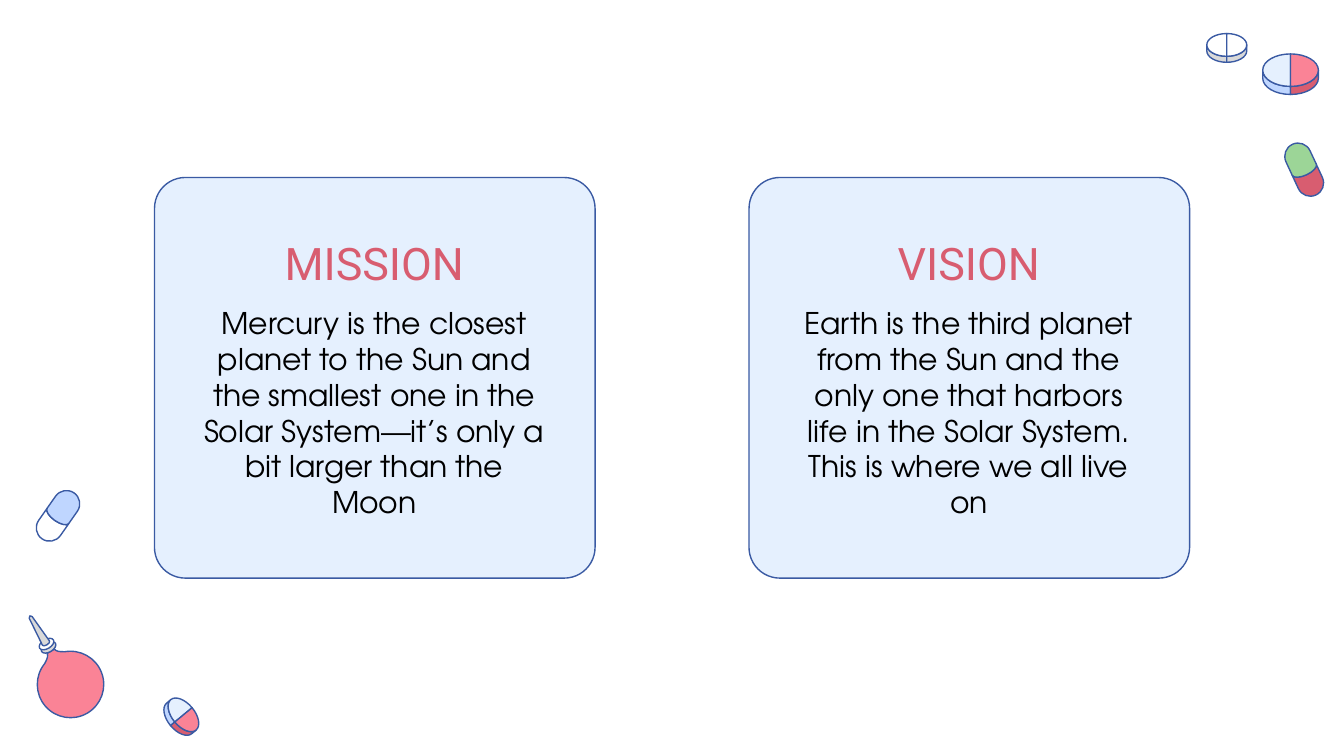
from math import ceil, cos, radians, sin, tan
from lxml import etree
from pptx import Presentation
from pptx.dml.color import RGBColor
from pptx.enum.shapes import MSO_SHAPE
from pptx.enum.text import MSO_ANCHOR, PP_ALIGN
from pptx.oxml.ns import qn
from pptx.util import Pt

ROUND = MSO_SHAPE.ROUNDED_RECTANGLE
MIDDLE = MSO_ANCHOR.MIDDLE
CENTER = PP_ALIGN.CENTER

COLORS = {
    "white": "FFFFFF", "black": "000000", "gray": "D9D9D9",
    "pale": "E5F0FE", "sky": "BFD6FF", "navy": "3A5AA3",
    "pink": "FA8396", "red": "D85D70", "green": "9CD597",
}
CARDS = [
    ("MISSION", "Mercury is the closest planet to the Sun and the smallest one "
     "in the Solar System—it’s only a bit larger than the Moon"),
    ("VISION", "Earth is the third planet from the Sun and the only one that "
     "harbors life in the Solar System. This is where we all live on"),
]
DUO = ("sky", "pale", "pink", "red")
PLAIN = ("gray", "white", "white", "gray")
TABLETS = [
    ((691.4, 37.6, 0), (14.9, 8.7, 4.3), DUO),
    ((657.2, 24.1, 0), (10.7, 6.1, 3.2), PLAIN),
    ((98.3, 383, 50.4), (10.6, 6, 3), DUO),
]
CAPSULES = [
    ((31.1, 276.4, 35), "sky", "white"),
    ((698.7, 90.9, -24.9), "green", "red"),
]


def color(name):
    """Return the named color."""
    return RGBColor.from_string(COLORS[name])


def paint(shape, fill):
    """Give a shape its fill and the navy outline."""
    shape.shadow.inherit = False
    shape.fill.solid()
    shape.fill.fore_color.rgb = color(fill)
    shape.line.color.rgb = color("navy")
    shape.line.width = Pt(0.75)


def arc(wide, high, start, end, mid=0):
    """Return an ellipse arc as a start point and Bezier segments."""
    count = ceil(abs(end - start) / 90)
    step = radians(end - start) / count
    pull = 4 / 3 * tan(step / 4)

    def spot(turn, lean):
        """Return a point on the arc, moved along its tangent."""
        return (wide * (cos(turn) - lean * sin(turn)),
                mid + high * (sin(turn) + lean * cos(turn)))

    parts = [[spot(radians(start), 0)]]
    for i in range(count):
        turn = radians(start) + i * step
        last = turn + step
        parts.append([spot(turn, pull), spot(last, -pull), spot(last, 0)])
    return parts


def outline(slide, pose, parts, fill):
    """Draw a closed outline of lines and curves, turned about a center."""
    left, top, angle = pose
    turn = radians(angle)
    spots = [(Pt(left + x * cos(turn) - y * sin(turn)),
              Pt(top + x * sin(turn) + y * cos(turn)))
             for part in parts for x, y in part]
    pen = slide.shapes.build_freeform(*spots[0])
    pen.add_line_segments(spots[1:], close=True)
    shape = pen.convert_to_shape()
    steps = iter(list(shape.element.iter(qn("a:lnTo"))))
    for part in parts[1:]:
        lines = [next(steps) for _ in part]
        if len(part) == 3:
            curve = etree.Element(qn("a:cubicBezTo"))
            lines[0].addprevious(curve)
            for line in lines:
                curve.append(line[0])
                line.getparent().remove(line)
    paint(shape, fill)


def tablet(slide, pose, size, fills):
    """Draw a split round tablet with a visible rim."""
    wide, high, deep = size
    for side, (rim, face) in ((180, fills[:2]), (0, fills[:1:-1])):
        edge = arc(wide, high, side, 90)
        under = arc(wide, high, 90, side, deep)
        outline(slide, pose, edge + under, rim)
        outline(slide, pose, arc(wide, high, 90, 270 if side else -90), face)


def capsule(slide, pose, upper, lower):
    """Draw a two-part capsule."""
    wide, reach, bulge = 7.1, 7.9, 3
    seam = arc(wide, bulge, 180, 0)
    outline(slide, pose, seam + arc(wide, wide, 0, 180, reach), lower)
    outline(slide, pose, seam + arc(wide, wide, 0, -180, -reach), upper)


def syringe(slide, pose):
    """Draw a bulb syringe with its neck rings and tip."""
    neck = [[(-3.4, -18.3), (-2.3, -19.5), (-2.3, -20.7)], [(2.3, -20.7)],
            [(2.3, -19.5), (3.4, -18.3), (6.1, -16.8)]]
    outline(slide, pose, arc(17.8, 17.8, -70, 250) + neck, "pink")
    outline(slide, pose, arc(4.3, 2.5, 0, 360, -23.1), "gray")
    outline(slide, pose, arc(4.3, 2.5, 0, 360, -25.2), "white")
    tip = arc(2.2, 1, 0, 180, -25.7) + arc(0.9, 0.9, 180, 360, -41.8)
    outline(slide, pose, tip, "gray")


def label(slide, box, text, size, font, tint):
    """Write centered text in a box."""
    frame = slide.shapes.add_textbox(*map(Pt, box)).text_frame
    frame.word_wrap = True
    frame.vertical_anchor = MIDDLE
    frame.margin_left = frame.margin_right = 0
    frame.margin_top = frame.margin_bottom = 0
    para = frame.paragraphs[0]
    para.text = text
    para.alignment = CENTER
    para.font.size = Pt(size)
    para.font.name = font
    para.font.color.rgb = color(tint)


def card(slide, box, title, body):
    """Draw a rounded card with a title and a body."""
    left, top, wide, high = box
    panel = slide.shapes.add_shape(ROUND, *map(Pt, box))
    panel.adjustments[0] = 0.077
    paint(panel, "pale")
    inner, span = left + 24.4, wide - 49.3
    label(slide, (inner, top + 27.4, span, 36.7), title, 24, "Roboto", "red")
    label(slide, (inner, top + 64.2, span, 123.2), body, 16,
          "TeX Gyre Adventor", "black")


def main():
    """Build and save the slide."""
    deck = Presentation()
    deck.slide_width, deck.slide_height = Pt(720), Pt(405)
    slide = deck.slides.add_slide(deck.slide_layouts[6])
    for pose, size, fills in TABLETS:
        tablet(slide, pose, size, fills)
    for pose, upper, lower in CAPSULES:
        capsule(slide, pose, upper, lower)
    syringe(slide, (37.8, 366.7, -30.7))
    for i, (title, body) in enumerate(CARDS):
        card(slide, (82.8 + 318.5 * i, 95.1, 236, 214.6), title, body)
    deck.save("out.pptx")


if __name__ == "__main__":
    main()
